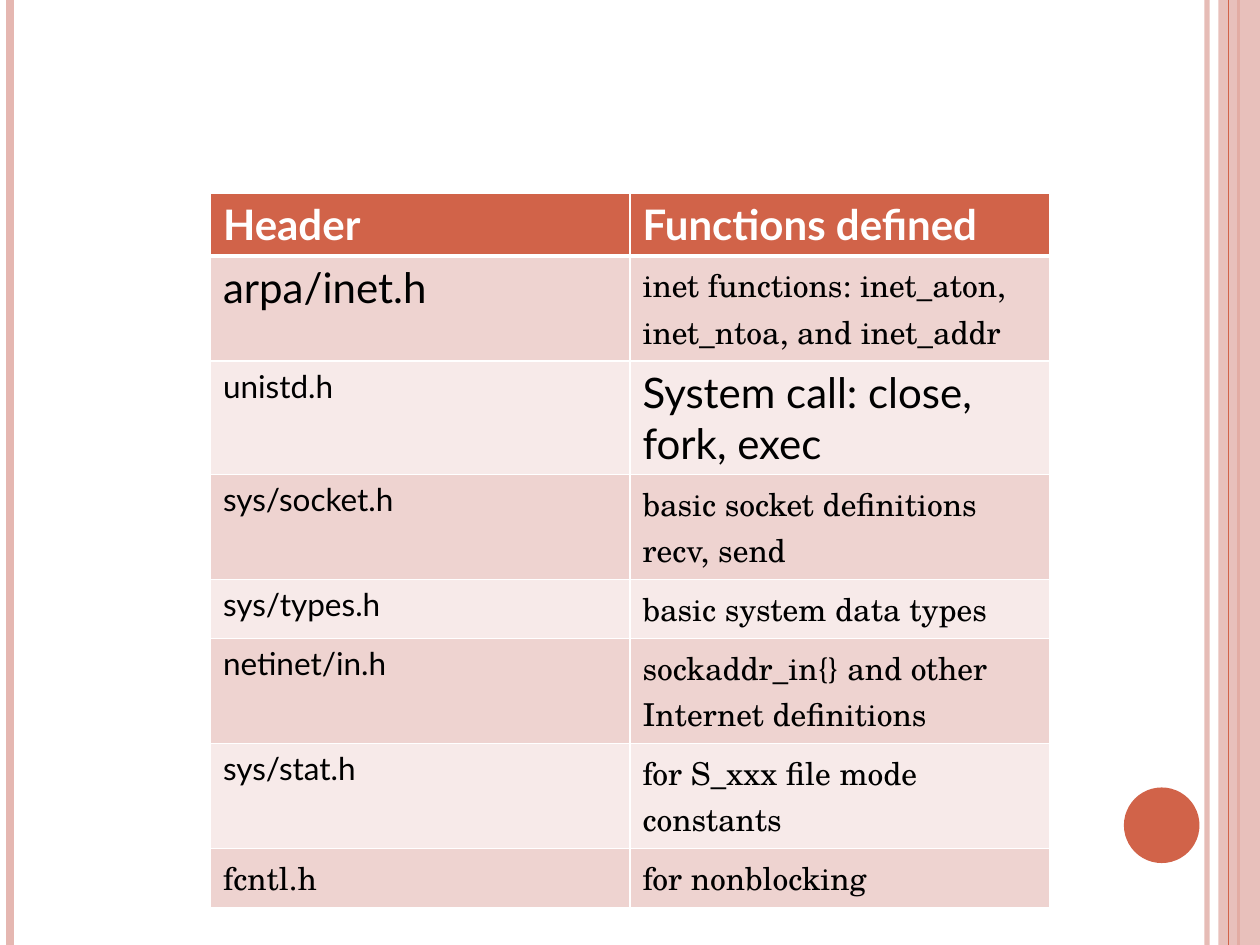
from dataclasses import dataclass

import pptx
import pptx.dml.color
import pptx.enum.shapes
import pptx.oxml
import pptx.oxml.ns
import pptx.util

Inches = pptx.util.Inches
Pt = pptx.util.Pt
qn = pptx.oxml.ns.qn
MSO_SHAPE = pptx.enum.shapes.MSO_SHAPE


@dataclass(frozen=True)
class Theme:
    accent: str = "D16349"
    pale: str = "E5B7B1"
    bands: tuple[str, str] = ("EED3D0", "F7EAE9")
    white: str = "FFFFFF"
    black: str = "000000"
    sans: str = "Lato"
    serif: str = "TeX Gyre Schola"
    large: int = 24
    small: int = 18


@dataclass(frozen=True)
class Stripe:
    x: float
    color: str
    width: float
    alpha: int = 100


@dataclass(frozen=True)
class Entry:
    text: str
    font: str
    size: int


T = Theme()


def rgb(color: str) -> pptx.dml.color.RGBColor:
    return pptx.dml.color.RGBColor.from_string(color)


def set_alpha(element, percent: int) -> None:
    """Make the first solid colour below the element translucent."""
    if percent < 100:
        color = next(element.iter(qn("a:srgbClr")))
        pptx.oxml.ns  # namespace helpers are shared with the borders
        alpha = color.makeelement(qn("a:alpha"), {"val": str(percent * 1000)})
        color.append(alpha)


def add_stripe(slide, stripe: Stripe) -> None:
    x = Inches(stripe.x)
    line = slide.shapes.add_connector(
        pptx.enum.shapes.MSO_CONNECTOR.STRAIGHT, x, 0, x, Inches(7.5))
    line.line.color.rgb = rgb(stripe.color)
    line.line.width = Pt(stripe.width)
    props = line._element.spPr
    set_alpha(props, stripe.alpha)
    props.append(props.makeelement(qn("a:effectLst"), {}))


def add_block(slide, kind, box: tuple, color: str, alpha: int = 100) -> None:
    sp = slide.shapes.add_shape(kind, *map(Inches, box))
    sp.shadow.inherit = False
    sp.fill.solid()
    sp.fill.fore_color.rgb = rgb(color)
    sp.line.fill.background()
    set_alpha(sp._element.spPr, alpha)


def set_borders(cell, bottom: float) -> None:
    """White rules on all sides; they must come before the cell's fill."""
    props = cell._tc.get_or_add_tcPr()
    widths = {"lnL": 1, "lnR": 1, "lnT": 1, "lnB": bottom}
    for i, (side, width) in enumerate(widths.items()):
        ln = props.makeelement(qn(f"a:{side}"), {"w": str(Pt(width))})
        fill = ln.makeelement(qn("a:solidFill"), {})
        fill.append(fill.makeelement(qn("a:srgbClr"), {"val": T.white}))
        ln.append(fill)
        props.insert(i, ln)


def write_cell(cell, text: str, *, font: str, size: int, color: str,
               fill: str, bold: bool = False, bottom: float = 1) -> None:
    cell.fill.solid()
    cell.fill.fore_color.rgb = rgb(fill)
    set_borders(cell, bottom)
    tf = cell.text_frame
    for i, part in enumerate(text.split("\n")):
        p = tf.add_paragraph() if i else tf.paragraphs[0]
        r = p.add_run()
        r.text = part
        r.font.name = font
        r.font.size = Pt(size)
        r.font.bold = bold
        r.font.color.rgb = rgb(color)


def sans(text: str, size: int = T.small) -> Entry:
    return Entry(text, T.sans, size)


def serif(text: str) -> Entry:
    return Entry(text, T.serif, T.small)


HEADINGS = ("Header", "Functions defined")
ENTRIES = [
    (sans("arpa/inet.h", T.large),
     serif("inet functions: inet_aton, inet_ntoa, and inet_addr")),
    (sans("unistd.h"), sans("System call: close, fork, exec", T.large)),
    (sans("sys/socket.h"), serif("basic socket definitions\nrecv, send ")),
    (sans("sys/types.h"), serif("basic system data types")),
    (sans("netinet/in.h"),
     serif("sockaddr_in{} and other Internet definitions")),
    (sans("sys/stat.h"), serif("for S_xxx file mode constants")),
    (serif("fcntl.h"), serif("for nonblocking")),
]


def add_header_table(slide) -> None:
    frame = slide.shapes.add_table(
        len(ENTRIES) + 1, len(HEADINGS),
        Inches(1.67), Inches(1.53), Inches(6.66), Inches(4.72))
    table = frame.table
    for row in table.rows:
        row.height = Inches(0.41)
    frame.height = Inches(4.72)
    for col, heading in enumerate(HEADINGS):
        write_cell(table.cell(0, col), heading, font=T.sans, size=T.large,
                   color=T.white, fill=T.accent, bold=True, bottom=3)
    for row, entries in enumerate(ENTRIES):
        for col, entry in enumerate(entries):
            write_cell(table.cell(row + 1, col), entry.text, font=entry.font,
                       size=entry.size, color=T.black, fill=T.bands[row % 2])


prs = pptx.Presentation()
prs.slide_width, prs.slide_height = Inches(10), Inches(7.5)
s = prs.slides.add_slide(prs.slide_layouts[6])

# Side stripes, with the translucent band over the third one
for stripe in (Stripe(9.58, T.pale, 3, 93), Stripe(0.08, T.pale, 4.5),
               Stripe(9.83, T.accent, 1.5)):
    add_stripe(s, stripe)
add_block(s, MSO_SHAPE.RECTANGLE, (9.67, 0, 0.33, 7.5), T.pale, alpha=87)
add_stripe(s, Stripe(9.75, T.accent, 0.75))

# Page number disc
add_block(s, MSO_SHAPE.OVAL, (8.92, 6.25, 0.6, 0.6), T.accent)

# Table of headers and their functions
add_header_table(s)

prs.save("out.pptx")
